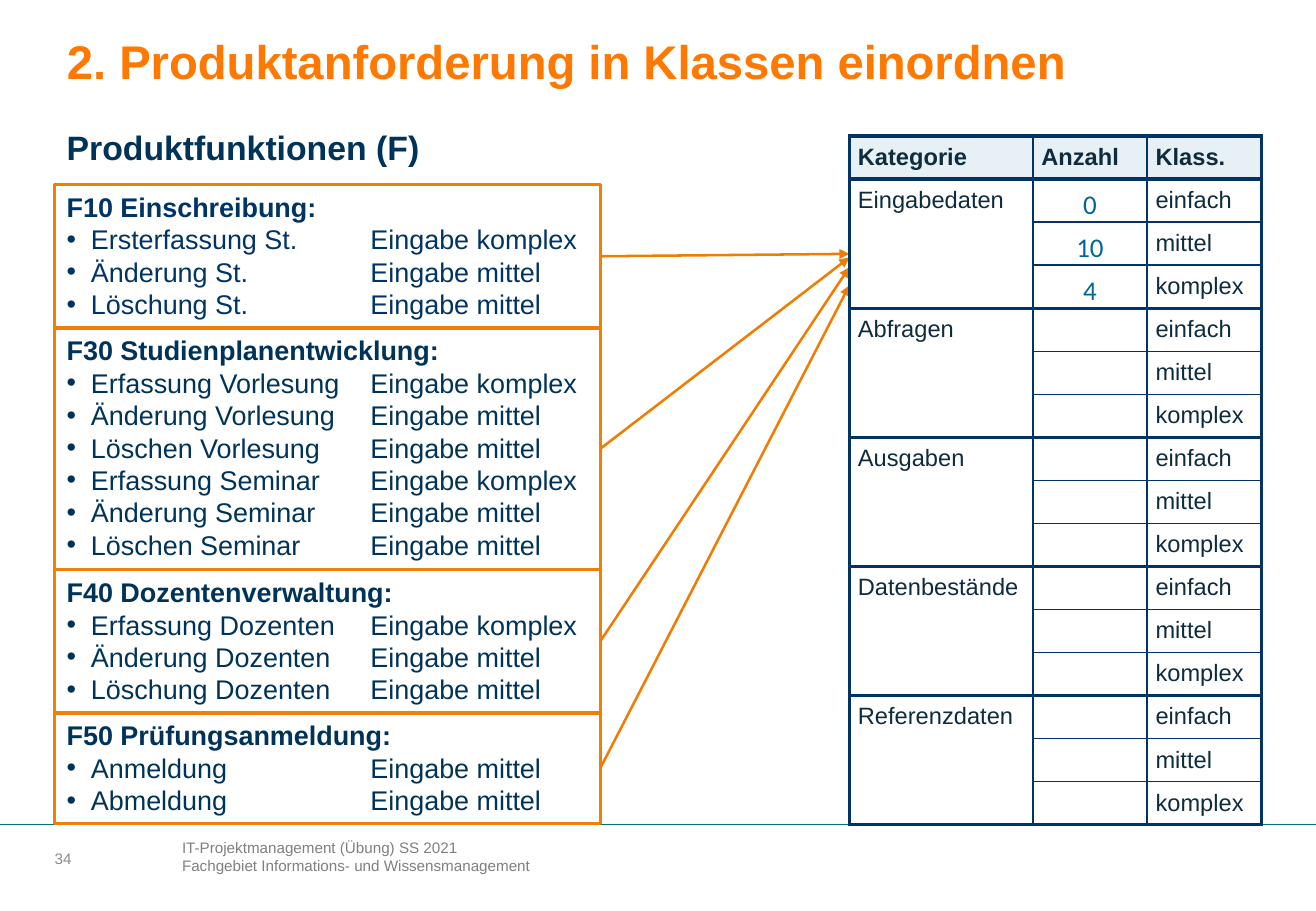
from lxml import etree
from pptx import Presentation
from pptx.dml.color import RGBColor
from pptx.enum import shapes, text
from pptx.oxml import ns
from pptx.util import Inches, Pt

TITLE = "2. Produktanforderung in Klassen einordnen"
SUBTITLE = "Produktfunktionen (F)"
FOOTER = ["IT-Projektmanagement (Übung) SS 2021", "Fachgebiet Informations- und Wissensmanagement"]
PAGE_NUMBER = "34"
COMPLEX, MEDIUM = "Eingabe komplex", "Eingabe mittel"
# heading, heading colour, entries, height where the arrow meets the table
FUNCTIONS = [
    ("F10 Einschreibung:", "navy", [
        ("Ersterfassung St.", COMPLEX), ("Änderung St.", MEDIUM), ("Löschung St.", MEDIUM)], 2.09),
    ("F30 Studienplanentwicklung:", "ink", [
        ("Erfassung Vorlesung", COMPLEX), ("Änderung Vorlesung", MEDIUM),
        ("Löschen Vorlesung", MEDIUM), ("Erfassung Seminar", COMPLEX),
        ("Änderung Seminar", MEDIUM), ("Löschen Seminar", MEDIUM)], 2.12),
    ("F40 Dozentenverwaltung:", "ink", [
        ("Erfassung Dozenten", COMPLEX), ("Änderung Dozenten", MEDIUM),
        ("Löschung Dozenten", MEDIUM)], 2.2),
    ("F50 Prüfungsanmeldung:", "ink", [("Anmeldung", MEDIUM), ("Abmeldung", MEDIUM)], 2.35),
]
HEADER = ["Kategorie", "Anzahl", "Klass."]
CLASSES = ["einfach", "mittel", "komplex"]
CATEGORIES = {
    "Eingabedaten": ["0", "10", "4"],
    "Abfragen": ["", "", ""],
    "Ausgaben": ["", "", ""],
    "Datenbestände": ["", "", ""],
    "Referenzdaten": ["", "", ""],
}
COLORS = {
    "title": "FF7900", "ink": "003359", "navy": "003366", "box": "F07F09",
    "arrow": "F07C03", "white": "FFFFFF", "cell": "0E2C3E", "count": "006699",
    "header": "E6F0F5", "footer": "808080", "page": "8C8C8C", "rule": "007479",
}
SLIDE_WIDTH, SLIDE_HEIGHT = 10.83, 7.5
BOX_LEFT, BOX_TOP, BOX_WIDTH = 0.45, 1.52, 4.49
LINE_HEIGHT, BOX_PADDING = 0.27, 0.1
BULLET_INDENT, TAB_STOP = 0.2, 2.5
TABLE_LEFT, TABLE_TOP, TABLE_HEIGHT = 6.99, 1.12, 5.67
COLUMN_WIDTHS = [1.51, 0.94, 0.94]
THICK, THIN = 2.25, 1


def color(name):
    return RGBColor.from_string(COLORS[name])


def add_run(paragraph, content, size, color_name, bold=False, font="Arial"):
    run = paragraph.add_run()
    run.text = content
    run.font.size = Pt(size)
    run.font.name = font
    run.font.bold = bold
    run.font.color.rgb = color(color_name)


def set_frame(frame, margins, anchor=text.MSO_ANCHOR.TOP):
    """Set wrapping, anchor and the left, top, right and bottom margins."""
    frame.word_wrap = True
    frame.auto_size = text.MSO_AUTO_SIZE.NONE
    frame.vertical_anchor = anchor
    (frame.margin_left, frame.margin_top,
     frame.margin_right, frame.margin_bottom) = map(Inches, margins)


def add_text(slide, area, lines, size, color_name, bold=False,
             margins=(0.1, 0.05, 0.1, 0.05), anchor=text.MSO_ANCHOR.TOP):
    frame = slide.shapes.add_textbox(*map(Inches, area)).text_frame
    set_frame(frame, margins, anchor)
    for index, line in enumerate(lines):
        paragraph = frame.add_paragraph() if index else frame.paragraphs[0]
        add_run(paragraph, line, size, color_name, bold)


def add_line(slide, start, end, color_name, width, arrow=False):
    points = map(Inches, (*start, *end))
    connector = slide.shapes.add_connector(shapes.MSO_CONNECTOR.STRAIGHT, *points)
    connector.line.color.rgb = color(color_name)
    connector.line.width = Pt(width)
    if arrow:
        etree.SubElement(connector.line._get_or_add_ln(), ns.qn("a:tailEnd"), type="triangle")
    etree.SubElement(connector._element.spPr, ns.qn("a:effectLst"))


def make_bullet(paragraph):
    """Add a hanging bullet and the tab stop of the second column."""
    properties = paragraph._p.get_or_add_pPr()
    properties.set("marL", str(Inches(BULLET_INDENT)))
    properties.set("indent", str(-Inches(BULLET_INDENT)))
    etree.SubElement(properties, ns.qn("a:buFont"), typeface="Arial")
    etree.SubElement(properties, ns.qn("a:buChar"), char="•")
    tabs = etree.SubElement(properties, ns.qn("a:tabLst"))
    etree.SubElement(tabs, ns.qn("a:tab"), pos=str(Inches(TAB_STOP)), algn="l")


def add_functions(slide):
    top = BOX_TOP
    for heading, color_name, entries, target in FUNCTIONS:
        height = LINE_HEIGHT * (len(entries) + 1) + BOX_PADDING
        box = slide.shapes.add_shape(
            shapes.MSO_SHAPE.RECTANGLE,
            *map(Inches, (BOX_LEFT, top, BOX_WIDTH, height)))
        box.shadow.inherit = False
        box.fill.solid()
        box.fill.fore_color.rgb = color("white")
        box.line.color.rgb = color("box")
        box.line.width = Pt(2)
        set_frame(box.text_frame, (0.1, 0.05, 0.04, 0.05))
        paragraph = box.text_frame.paragraphs[0]
        paragraph.alignment = text.PP_ALIGN.LEFT
        add_run(paragraph, heading, 16, color_name, bold=True)
        for entry in entries:
            paragraph = box.text_frame.add_paragraph()
            paragraph.alignment = text.PP_ALIGN.LEFT
            make_bullet(paragraph)
            add_run(paragraph, "\t".join(entry), 16, color_name)
        add_line(slide, (BOX_LEFT + BOX_WIDTH, top + height / 2),
                 (TABLE_LEFT, target), "arrow", 1.5, arrow=True)
        top += height


def set_borders(cell, widths):
    """Draw the left, right, top and bottom borders; a width of 0 hides one."""
    properties = cell._tc.get_or_add_tcPr()
    for index, (side, width) in enumerate(zip(("lnL", "lnR", "lnT", "lnB"), widths)):
        line = etree.Element(ns.qn(f"a:{side}"), w=str(Pt(width)))
        if width:
            fill = etree.SubElement(line, ns.qn("a:solidFill"))
            etree.SubElement(fill, ns.qn("a:srgbClr"), val=COLORS["navy"])
        else:
            etree.SubElement(line, ns.qn("a:noFill"))
        properties.insert(index, line)


def fill_cell(cell, content, header, count):
    cell.margin_left = cell.margin_right = Inches(0.07)
    cell.margin_top = cell.margin_bottom = 0
    if header:
        cell.fill.solid()
        cell.fill.fore_color.rgb = color("header")
    else:
        cell.fill.background()
    paragraph = cell.text_frame.paragraphs[0]
    if not content:
        paragraph.font.size = Pt(14)
        return
    paragraph.alignment = text.PP_ALIGN.CENTER if count else text.PP_ALIGN.JUSTIFY
    paragraph.line_spacing = 1.3
    paragraph.space_after = Pt(4)
    if count:
        add_run(paragraph, content, 16, "count", font="Calibri")
    else:
        add_run(paragraph, content, 14, "cell", bold=header)


def add_category_table(slide):
    rows = [HEADER]
    for category, counts in CATEGORIES.items():
        names = [category] + [""] * (len(CLASSES) - 1)
        rows += zip(names, counts, CLASSES)
    frame = slide.shapes.add_table(
        len(rows), len(HEADER),
        *map(Inches, (TABLE_LEFT, TABLE_TOP, sum(COLUMN_WIDTHS), TABLE_HEIGHT)))
    table = frame.table
    table.first_row = table.horz_banding = False
    for column, width in zip(table.columns, COLUMN_WIDTHS):
        column.width = Inches(width)
    for row_index, row in enumerate(rows):
        table.rows[row_index].height = Inches(TABLE_HEIGHT / len(rows))
        header = row_index == 0
        group_start = header or row_index % len(CLASSES) == 1
        group_end = row_index % len(CLASSES) == 0
        for column_index, content in enumerate(row):
            cell = table.cell(row_index, column_index)
            fill_cell(cell, content, header, column_index == 1 and not header)
            first = column_index == 0
            inner = 0 if first else THIN
            set_borders(cell, (
                THICK if first else THIN,
                THICK if column_index == len(row) - 1 else THIN,
                THICK if group_start else inner,
                THICK if group_end or (first and group_start) else inner))
    for start in range(1, len(rows), len(CLASSES)):
        table.cell(start, 0).merge(table.cell(start + len(CLASSES) - 1, 0))


def main():
    presentation = Presentation()
    presentation.slide_width = Inches(SLIDE_WIDTH)
    presentation.slide_height = Inches(SLIDE_HEIGHT)
    slide = presentation.slides.add_slide(presentation.slide_layouts[5])

    title = slide.shapes.title
    title.left, title.top, title.width, title.height = map(Inches, (0.45, 0.18, 10.06, 0.63))
    set_frame(title.text_frame, (0.1, 0.05, 0.1, 0.05), text.MSO_ANCHOR.MIDDLE)
    title.text_frame.paragraphs[0].alignment = text.PP_ALIGN.LEFT
    add_run(title.text_frame.paragraphs[0], TITLE, 28, "title", bold=True)

    add_text(slide, (1.4, 6.85, 6.06, 0.56), FOOTER, 9, "footer")
    add_text(slide, (0.45, 6.94, 0.72, 0.25), [PAGE_NUMBER], 9, "page",
             margins=(0, 0, 0, 0), anchor=text.MSO_ANCHOR.MIDDLE)
    add_line(slide, (0, 6.79), (SLIDE_WIDTH, 6.79), "rule", 0.5)
    add_text(slide, (0.45, 0.99, 6, 0.45), [SUBTITLE], 20, "ink", bold=True)
    add_functions(slide)
    add_category_table(slide)
    presentation.save("out.pptx")


if __name__ == "__main__":
    main()
